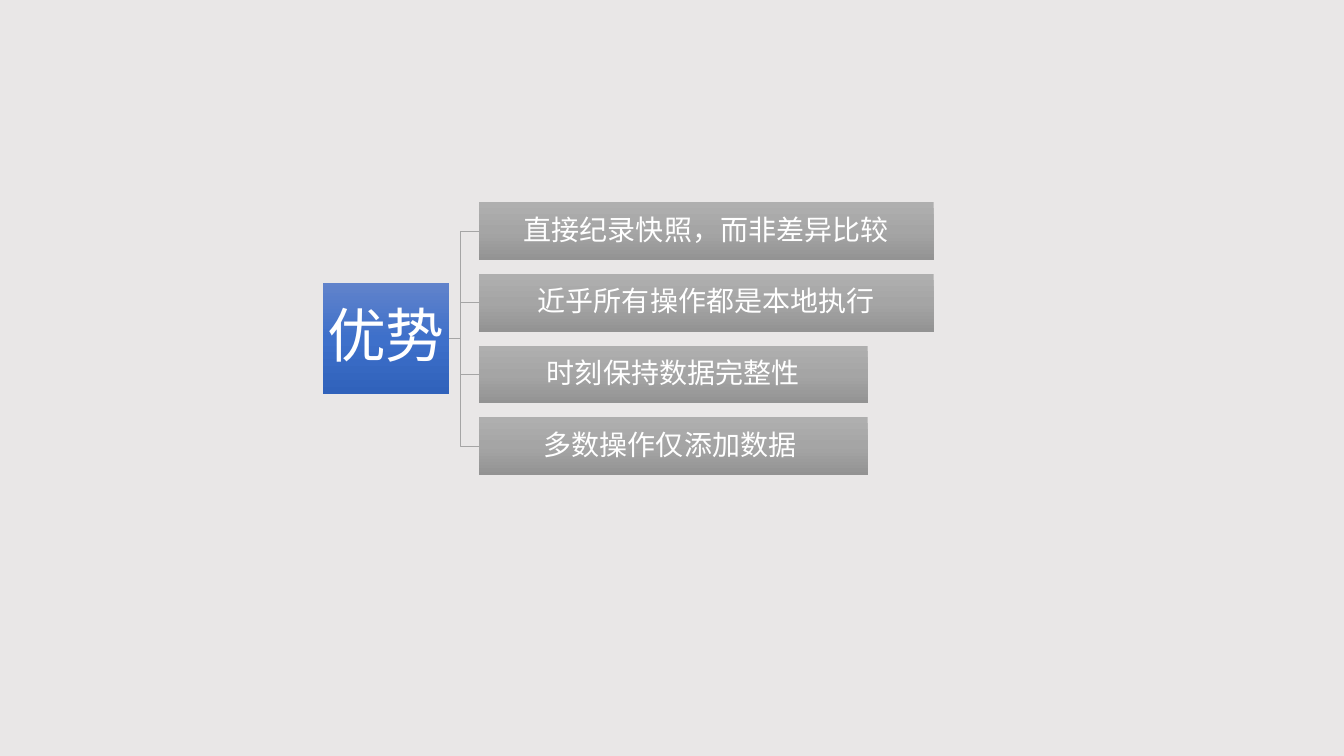
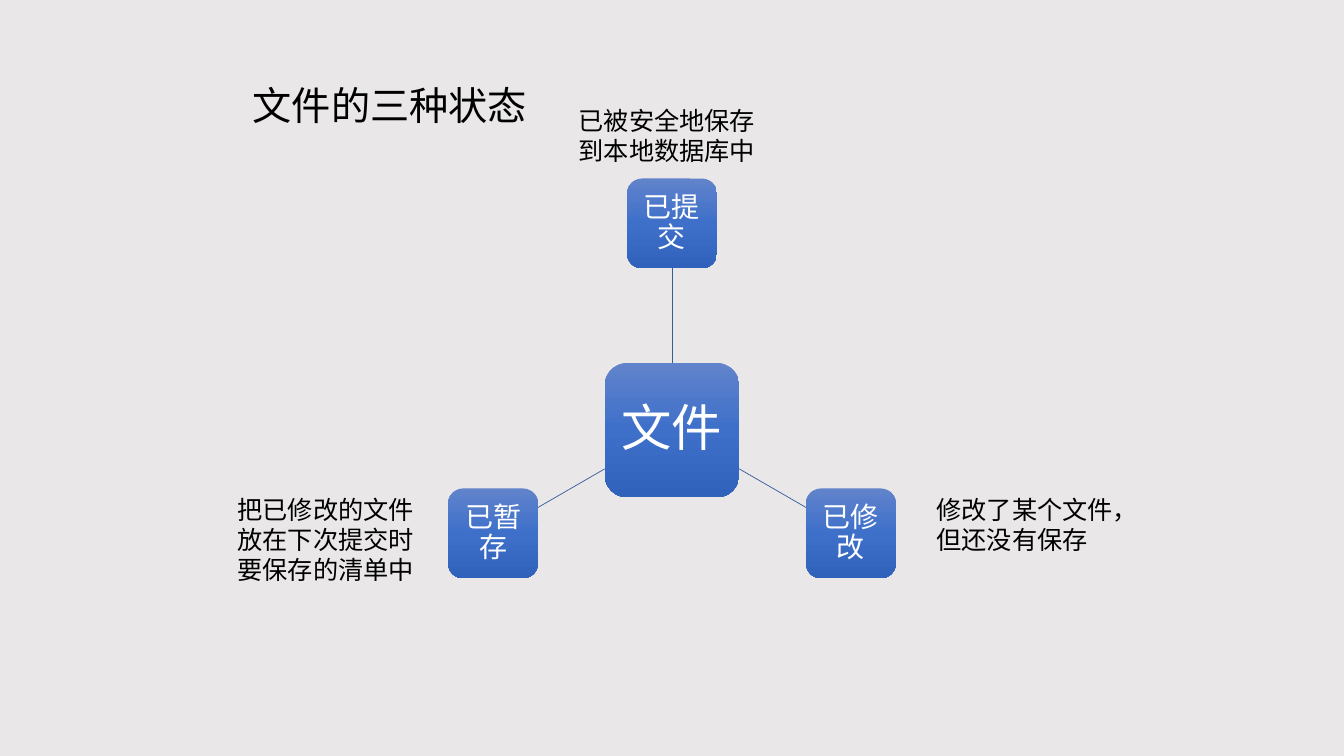
"""Builds two slides: the advantages tree and the three states of a file."""
from copy import deepcopy
from math import cos, radians, sin

from lxml.etree import SubElement
from pptx import Presentation
from pptx.dml.color import RGBColor
from pptx.enum.shapes import MSO_CONNECTOR, MSO_SHAPE
from pptx.enum.text import MSO_ANCHOR, MSO_AUTO_SIZE, PP_ALIGN
from pptx.oxml.ns import qn
from pptx.util import Inches, Pt

COLS, ROWS = 160, 90
CELL = Inches(1) // 12
FONT, CJK_FONT = "Arial", "Noto Sans CJK SC"
BACKGROUND = RGBColor(0xE9, 0xE7, 0xE7)
BLACK = RGBColor(0x00, 0x00, 0x00)
WHITE = RGBColor(0xFF, 0xFF, 0xFF)
GRAY_LINE = RGBColor(0xA5, 0xA5, 0xA5)
BLUE_LINE = RGBColor(0x36, 0x5B, 0x9D)
BLUES = [RGBColor(0x61, 0x83, 0xCB), RGBColor(0x3E, 0x70, 0xCA), RGBColor(0x30, 0x62, 0xBB)]
GRAYS = [RGBColor(0xAF, 0xAF, 0xAF), RGBColor(0xA5, 0xA5, 0xA5), RGBColor(0x93, 0x93, 0x93)]


def cells(*lengths):
    return [round(length * CELL) for length in lengths]


def write(sp, text, size, color=BLACK, font=FONT, align=PP_ALIGN.LEFT,
          anchor=MSO_ANCHOR.TOP, inset=None, spacing=1.0, wrap=True):
    tf = sp.text_frame
    tf.auto_size = MSO_AUTO_SIZE.NONE
    tf.word_wrap = wrap
    tf.vertical_anchor = anchor
    if inset is not None:
        tf.margin_left = tf.margin_right = tf.margin_top = tf.margin_bottom = Inches(inset)
    p = tf.paragraphs[0]
    p.alignment = align
    p.line_spacing = spacing
    r = p.add_run()
    r.text = text
    r.font.size = Pt(size)
    r.font.name = font
    r.font.color.rgb = color
    SubElement(r.font._element, qn("a:ea"), typeface=CJK_FONT)


prs = Presentation()
prs.slide_width, prs.slide_height = cells(COLS, ROWS)
tree = prs.slides.add_slide(prs.slide_layouts[6])
states = prs.slides.add_slide(prs.slide_layouts[5])
for s in prs.slides:
    s.background.fill.solid()
    s.background.fill.fore_color.rgb = BACKGROUND

links, boxes = [], []

BAR_X, BAR_Y, BAR_H, PITCH = 57, 24.1, 6.85, 8.53
bars = [("直接纪录快照，而非差异比较", 54.15), ("近乎所有操作都是本地执行", 54.15),
        ("时刻保持数据完整性", 46.3), ("多数操作仅添加数据 ", 46.3)]
middle = BAR_Y + (PITCH * (len(bars) - 1) + BAR_H) / 2
boxes.append((tree, MSO_SHAPE.RECTANGLE, (38.4, middle - 6.6, 15.1, 13.2), "优势 ", 42, 0.03, BLUES))
for i, (text, width) in enumerate(bars):
    top = BAR_Y + i * PITCH
    links.append((tree, MSO_CONNECTOR.ELBOW, (52.6, middle, BAR_X, top + BAR_H / 2), GRAY_LINE))
    boxes.append((tree, MSO_SHAPE.RECTANGLE, (BAR_X, top, width, BAR_H), text, 20, 0.01, GRAYS))

HUB_X, HUB_Y, HUB, NODE, RADIUS = COLS / 2, 51.2, 16, 10.7, 24.6
boxes.append((states, MSO_SHAPE.ROUNDED_RECTANGLE,
              (HUB_X - HUB / 2, HUB_Y - HUB / 2, HUB, HUB), "文件", 36, 0.1, BLUES))
for i, text in enumerate(["已修改", "已暂存", "已提交"]):
    angle = radians(30 + 120 * i)
    dx, dy = cos(angle), sin(angle)
    reach = max(abs(dx), abs(dy))
    start, end = HUB / 2 / reach, RADIUS - NODE / 2 / reach
    links.append((states, MSO_CONNECTOR.STRAIGHT,
                  (HUB_X + start * dx, HUB_Y + start * dy, HUB_X + end * dx, HUB_Y + end * dy),
                  BLUE_LINE))
    boxes.append((states, MSO_SHAPE.ROUNDED_RECTANGLE,
                  (HUB_X + RADIUS * dx - NODE / 2, HUB_Y + RADIUS * dy - NODE / 2, NODE, NODE),
                  text, 20, 0.06, BLUES))

for s, kind, ends, color in links:
    link = s.shapes.add_connector(kind, *cells(*ends))
    link.line.color.rgb = color
    link.line.width = Pt(0.5)
    SubElement(link._element.spPr, qn("a:effectLst"))

for s, kind, place, text, size, inset, colors in boxes:
    sp = s.shapes.add_shape(kind, *cells(*place))
    sp.shadow.inherit = False
    sp.line.fill.background()
    sp.fill.gradient()
    sp.fill.gradient_angle = 270
    stops = sp._element.spPr.find(qn("a:gradFill")).find(qn("a:gsLst"))
    stops.insert(1, deepcopy(stops[0]))
    for stop, position, color in zip(sp.fill.gradient_stops, (0, 0.5, 1), colors):
        stop.position = position
        stop.color.rgb = color
    write(sp, text, size, color=WHITE, font=CJK_FONT, align=PP_ALIGN.CENTER,
          anchor=MSO_ANCHOR.MIDDLE, inset=inset, spacing=0.9)
    if text == "文件":
        hub = sp

link.begin_connect(hub, 0)
link.end_connect(sp, 2)

title = states.shapes.title
title.left, title.top, title.width, title.height = cells(28.9, 9.1, 35.4, 6.8)
write(title, "文件的三种状态", 28, wrap=False)
captions = [("已被安全地保存到本地数据库中", 67.7, 11.9, 8.5),
            ("把已修改的文件放在下次提交时要保存的清单中", 27.1, 58.2, 12.1),
            ("修改了某个文件，但还没有保存", 110.3, 58.2, 8.5)]
for text, left, top, height in captions:
    write(states.shapes.add_textbox(*cells(left, top, 24.6, height)), text, 18)

prs.save("out.pptx")
